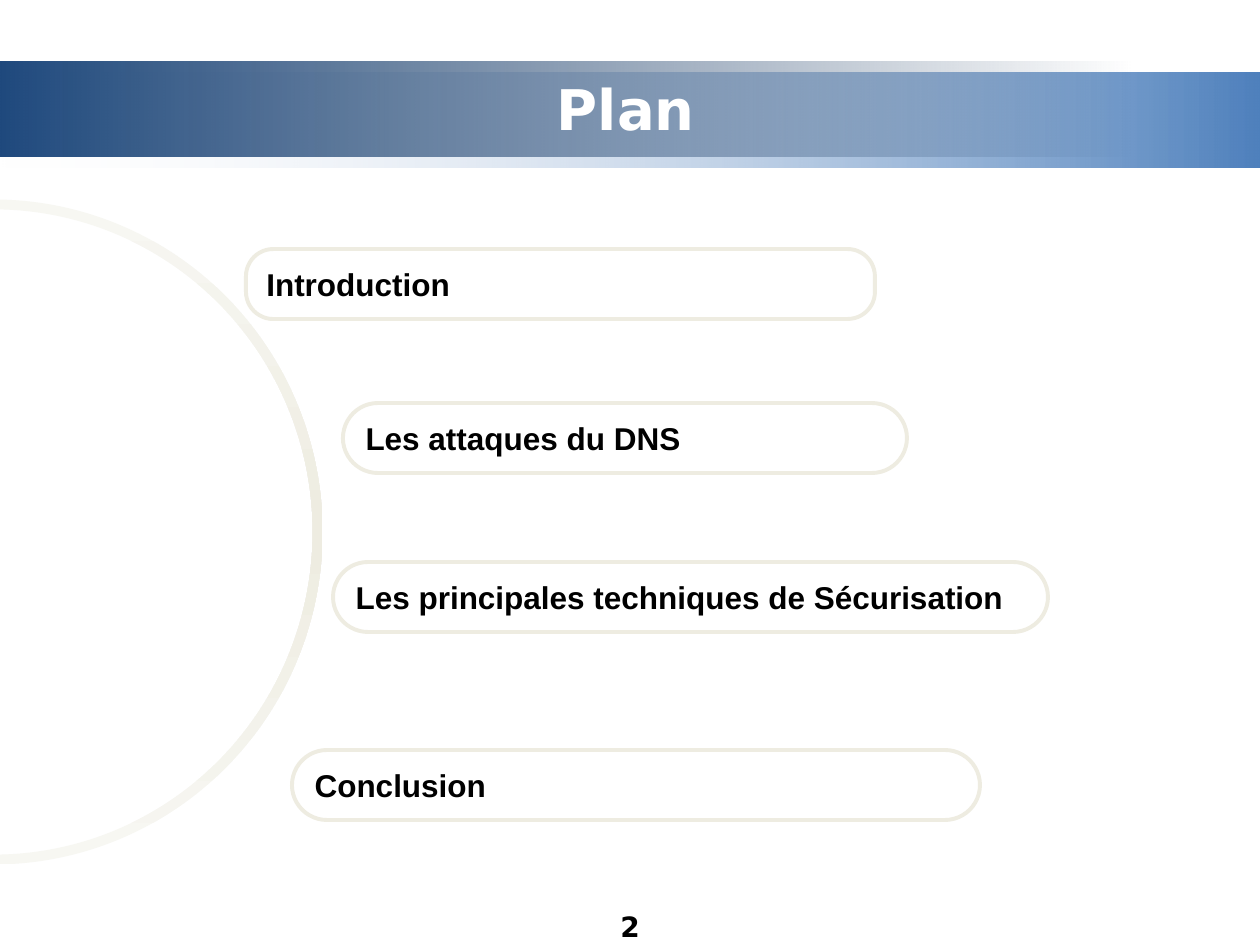
"""Build the agenda slide: banner title, large arc and four rounded entries."""
from lxml.etree import SubElement
from pptx import Presentation
from pptx.dml.color import RGBColor
from pptx.enum.shapes import MSO_SHAPE
from pptx.enum.text import MSO_ANCHOR, PP_ALIGN
from pptx.oxml.ns import qn
from pptx.util import Emu, Pt

WHITE = RGBColor(0xFF, 0xFF, 0xFF)
BLACK = RGBColor(0x00, 0x00, 0x00)
SAND = RGBColor(0xEE, 0xEC, 0xE1)
PALE_SAND = RGBColor(0xF7, 0xF7, 0xF2)
PALE_BLUE = RGBColor(0xF2, 0xF4, 0xF8)
BLUE = RGBColor(0x4F, 0x81, 0xBD)
NAVY = RGBColor(0x1F, 0x49, 0x7D)
DARK_NAVY = RGBColor(0x16, 0x34, 0x59)

TITLE = "Plan"
PAGE_NUMBER = "2"
ENTRY_HEIGHT = 70
ENTRIES = [
    ("Introduction", 246, 249, 629, 0.39),
    ("Les attaques du DNS", 343, 403, 564, 0.5),
    ("Les principales techniques de Sécurisation", 333, 562, 715, 0.5),
    ("Conclusion", 292, 750, 688, 0.5),
]
BANDS = [
    ((0, 73, 1260, 95), [(0, PALE_BLUE, 0), (100, BLUE, 100)]),
    ((0, 62, 1134, 95), [(0, NAVY, 100), (100, DARK_NAVY, 0)]),
]
ARC_PLACE = (-339, 203, 665, 658)
ARC_STOPS = [(0, PALE_SAND, 100), (50, SAND, 100), (100, PALE_SAND, 100)]
ARC_THICKNESS = 0.015


def px(*lengths):
    return [Emu(round(length * 914400 / 126)) for length in lengths]


def add_shape(page, kind, place):
    shape = page.shapes.add_shape(kind, *px(*place))
    shape.shadow.inherit = False
    shape.line.fill.background()
    return shape


def fill_gradient(shape, stops):
    shape.fill.gradient()
    shape.fill.gradient_angle = 0
    stop_list = next(shape.element.iter(qn("a:gsLst")))
    stop_list.clear()
    for position, color, opacity in stops:
        stop = SubElement(stop_list, qn("a:gs"), pos=str(position * 1000))
        value = SubElement(stop, qn("a:srgbClr"), val=str(color))
        if opacity < 100:
            SubElement(value, qn("a:alpha"), val=str(opacity * 1000))


def write(box, text, font_name, size, color, align):
    frame = box.text_frame
    frame.word_wrap = True
    frame.text = text
    para = frame.paragraphs[0]
    para.alignment = align
    para.font.name = font_name
    para.font.size = Pt(size)
    para.font.bold = True
    para.font.color.rgb = color


def main():
    deck = Presentation()
    deck.slide_width, deck.slide_height = px(1260, 945)
    page = deck.slides.add_slide(deck.slide_layouts[5])

    for place, stops in BANDS:
        fill_gradient(add_shape(page, MSO_SHAPE.RECTANGLE, place), stops)

    title = page.shapes.title
    title.left, title.top, title.width, title.height = px(59, 69, 1134, 78)
    write(title, TITLE, "DejaVu Sans", 32, WHITE, PP_ALIGN.CENTER)
    title.text_frame.vertical_anchor = MSO_ANCHOR.MIDDLE
    title.element.getparent().append(title.element)

    arc = add_shape(page, MSO_SHAPE.BLOCK_ARC, ARC_PLACE)
    arc.adjustments[2] = ARC_THICKNESS
    arc.rotation = 90
    fill_gradient(arc, ARC_STOPS)

    for text, left, top, width, rounding in ENTRIES:
        entry = add_shape(page, MSO_SHAPE.ROUNDED_RECTANGLE, (left, top, width, ENTRY_HEIGHT))
        entry.adjustments[0] = rounding
        entry.fill.background()
        entry.line.color.rgb = SAND
        entry.line.width = Pt(2.25)
        entry.text_frame.vertical_anchor = MSO_ANCHOR.MIDDLE
        write(entry, text, "Arial", 18, BLACK, PP_ALIGN.LEFT)

    number = page.shapes.add_textbox(*px(483, 903, 294, 35))
    write(number, PAGE_NUMBER, "DejaVu Sans", 16, BLACK, PP_ALIGN.CENTER)

    deck.save("out.pptx")


if __name__ == "__main__":
    main()
